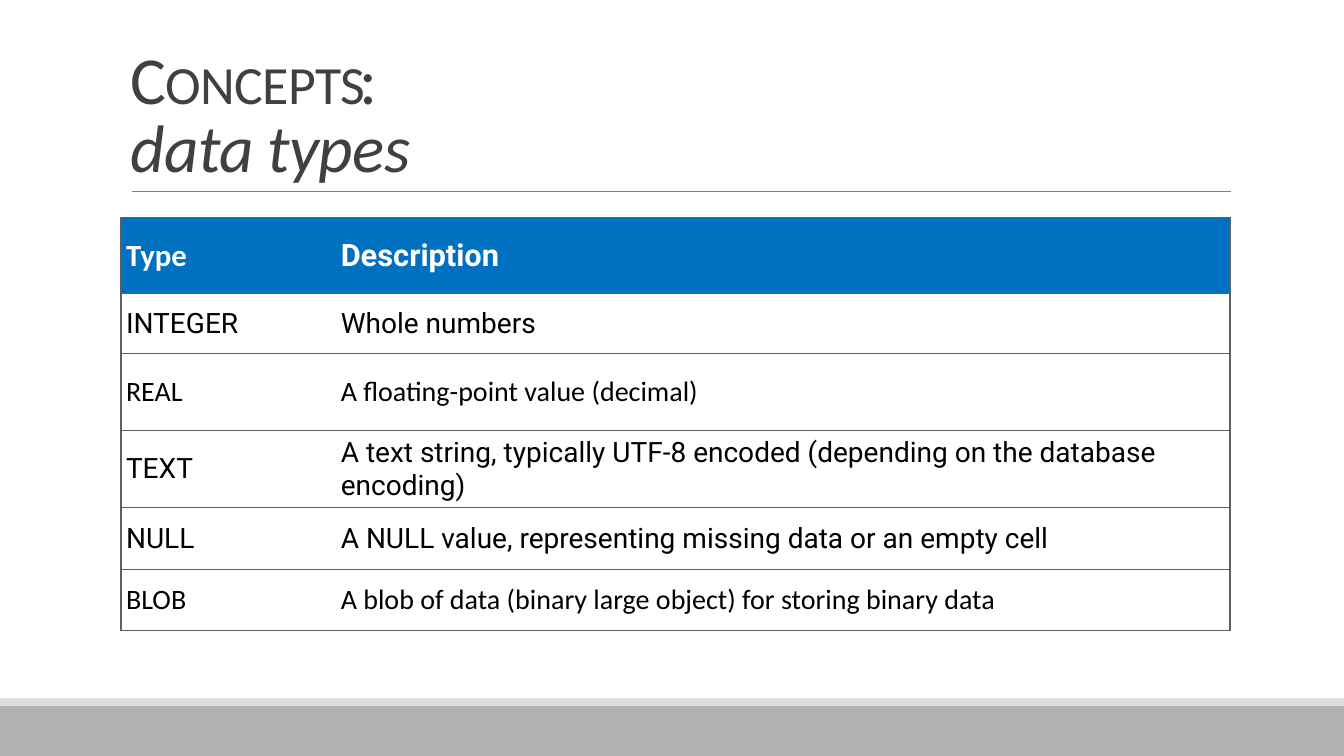
"""Build the slide that lists the database data types."""
from lxml import etree
from pptx import Presentation
from pptx.dml.color import RGBColor
from pptx.enum.shapes import MSO_CONNECTOR, MSO_SHAPE
from pptx.enum.text import MSO_ANCHOR
from pptx.oxml.ns import qn
from pptx.util import Inches, Pt

STRAIGHT = MSO_CONNECTOR.STRAIGHT
RECTANGLE = MSO_SHAPE.RECTANGLE
MIDDLE, BOTTOM = MSO_ANCHOR.MIDDLE, MSO_ANCHOR.BOTTOM


def rgb(color):
    return RGBColor.from_string(color)


def add_run(paragraph, text, font, size, color):
    run = paragraph.add_run()
    run.text = text
    run.font.name = font
    run.font.size = Pt(size)
    run.font.color.rgb = rgb(color)
    return run


prs = Presentation()
prs.slide_width, prs.slide_height = Inches(13.33), Inches(7.5)
slide = prs.slides.add_slide(prs.slide_layouts[6])

for top, height, color in [(7, 0.5, "B2B2B2"), (6.93, 0.07, "DDDDDD")]:
    band = slide.shapes.add_shape(RECTANGLE, 0, Inches(top), prs.slide_width, Inches(height))
    band.shadow.inherit = False
    band.fill.solid()
    band.fill.fore_color.rgb = rgb(color)
    band.line.fill.background()

title_rule = slide.shapes.add_connector(
    STRAIGHT, Inches(1.31), Inches(1.9), Inches(12.21), Inches(1.9))
title_rule.line.color.rgb = rgb("808080")
title_rule.line.width = Pt(0.5)
etree.SubElement(title_rule._element.spPr, qn("a:effectLst"))

title = slide.shapes.add_textbox(Inches(1.2), Inches(0.31), Inches(11), Inches(1.59)).text_frame
title.word_wrap = True
title.vertical_anchor = BOTTOM
heading = title.paragraphs[0]
heading.line_spacing = 0.85
concept = add_run(heading, "Concepts", "Calibri", 48, "404040")
concept.font._element.set("cap", "small")
colon = add_run(heading, ":", "Calibri", 48, "404040")
heading.add_line_break()
topic = add_run(heading, "data types", "Calibri", 48, "404040")
topic.font.italic = True
for run in (concept, colon, topic):
    run.font._element.set("spc", "-50")

data_types = [
    (0.75, "Type", "Calibri", "Description", "Roboto"),
    (0.6, "INTEGER", "Roboto", "Whole numbers", "Roboto"),
    (0.76, "REAL", "Calibri", "A floating-point value (decimal)", "Calibri"),
    (0.76, "TEXT", "Roboto",
     "A text string, typically UTF-8 encoded (depending on the database encoding)", "Roboto"),
    (0.61, "NULL", "Roboto", "A NULL value, representing missing data or an empty cell", "Roboto"),
    (0.61, "BLOB", "Calibri",
     "A blob of data (binary large object) for storing binary data", "Calibri"),
]
table = slide.shapes.add_table(
    len(data_types), 2, Inches(1.2), Inches(2.16), Inches(11), Inches(4.09)).table
table.horz_banding = False
table.columns[0].width, table.columns[1].width = Inches(2.13), Inches(8.87)

for row, (height, type_name, type_font, description, description_font) in enumerate(data_types):
    table.rows[row].height = Inches(height)
    is_header = row == 0
    for column, (text, font) in enumerate([(type_name, type_font), (description, description_font)]):
        cell = table.cell(row, column)
        cell.vertical_anchor = MIDDLE
        cell.margin_left = cell.margin_right = Inches(0.05)
        cell.margin_top = cell.margin_bottom = Inches(0.05)
        run = add_run(cell.text_frame.paragraphs[0], text, font,
                      22 if is_header else 20, "FFFFFF" if is_header else "000000")
        run.font.bold = is_header
        if is_header:
            cell.fill.solid()
            cell.fill.fore_color.rgb = rgb("0070C0")
        else:
            cell.fill.background()

        inner_side = "lnR" if column == 0 else "lnL"
        for position, side in enumerate(["lnL", "lnR", "lnT", "lnB"]):
            border = etree.Element(qn(f"a:{side}"), w=str(Pt(1)))
            if side == inner_side:
                etree.SubElement(border, qn("a:noFill"))
            else:
                border_fill = etree.SubElement(border, qn("a:solidFill"))
                etree.SubElement(border_fill, qn("a:srgbClr"), val="5F5F5F")
            cell._tc.get_or_add_tcPr().insert(position, border)

prs.save("out.pptx")
